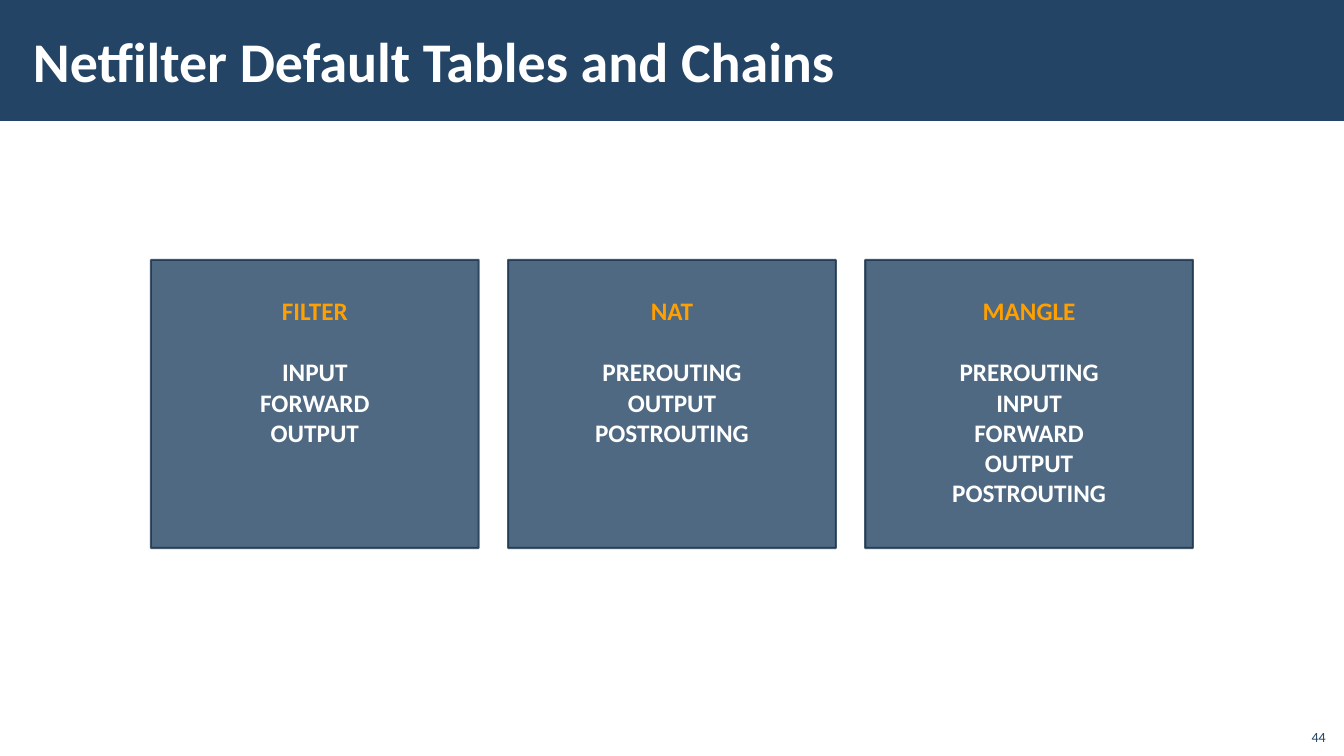
from pptx import Presentation
from pptx.dml.color import RGBColor
from pptx.enum.shapes import MSO_SHAPE
from pptx.enum.text import MSO_ANCHOR, PP_ALIGN
from pptx.oxml.ns import qn
from pptx.util import Cm, Pt
from lxml import etree

RECT = MSO_SHAPE.RECTANGLE
TOP, MIDDLE, BOTTOM = MSO_ANCHOR.TOP, MSO_ANCHOR.MIDDLE, MSO_ANCHOR.BOTTOM
LEFT, CENTER, RIGHT = PP_ALIGN.LEFT, PP_ALIGN.CENTER, PP_ALIGN.RIGHT

WIDTH, HEIGHT = 33.87, 19.05
FONT = "Calibri"
COLORS = {"navy": "234465", "edge": "1A334C", "amber": "FFA000", "white": "FFFFFF"}
TABLES = {
    "FILTER": ["INPUT", "FORWARD", "OUTPUT"],
    "NAT": ["PREROUTING", "OUTPUT", "POSTROUTING"],
    "MANGLE": ["PREROUTING", "INPUT", "FORWARD", "OUTPUT", "POSTROUTING"],
}


def color(name):
    return RGBColor.from_string(COLORS[name])


class Deck:
    """Holds the text style and the current slide."""

    def __init__(self):
        self.prs = Presentation()
        self.prs.slide_width, self.prs.slide_height = Cm(WIDTH), Cm(HEIGHT)
        self.slide = self.prs.slides.add_slide(self.prs.slide_layouts[5])

    def frame(self, shape, anchor, pad=(0.25, 0.13)):
        """Set anchor, wrap and (side, top) insets; return the text frame."""
        frame = shape.text_frame
        frame.word_wrap = True
        frame.vertical_anchor = anchor
        frame.margin_left = frame.margin_right = Cm(pad[0])
        frame.margin_top, frame.margin_bottom = Cm(pad[1]), Cm(0.1)
        return frame

    def add_text(self, para, text, size, tint, align, bold=False):
        para.alignment = align
        run = para.add_run()
        run.text = text
        font = run.font
        font.name, font.size, font.bold = FONT, Pt(size), bold
        font.color.rgb = color(tint)

    def rect(self, x, y, w, h):
        shape = self.slide.shapes.add_shape(RECT, Cm(x), Cm(y), Cm(w), Cm(h))
        shape.shadow.inherit = False
        shape.fill.solid()
        shape.fill.fore_color.rgb = color("navy")
        shape.line.fill.background()
        return shape

    def title(self, text):
        bar = self.rect(0, 0, WIDTH, 3.05)
        title = self.slide.shapes.title
        title.left, title.top = Cm(0.53), Cm(0.28)
        title.width, title.height = Cm(27), Cm(2.46)
        frame = self.frame(title, MIDDLE, (0.3, 0.1))
        self.add_text(frame.paragraphs[0], text, 40, "white", LEFT, True)
        title.element.addprevious(bar.element)

    def card(self, x, y, w, h, name, chains):
        """Draw a see-through box with a table name and its chains."""
        box = self.rect(x, y, w, h)
        box.line.color.rgb = color("edge")
        box.line.width = Pt(1.5)
        for tint in box.element.spPr.iter(qn("a:srgbClr")):
            etree.SubElement(tint, qn("a:alpha"), val="80000")
        frame = self.frame(box, TOP, (0.25, 0.9))
        self.add_text(frame.paragraphs[0], name, 18, "amber", CENTER, True)
        for i, chain in enumerate(chains):
            para = frame.add_paragraph()
            para.space_before = Pt(0 if i else 22)
            self.add_text(para, chain, 18, "white", CENTER, True)

    def number(self, text):
        box = self.slide.shapes.add_textbox(Cm(32.64), Cm(18.08), Cm(1.02), Cm(0.81))
        frame = self.frame(box, BOTTOM)
        self.add_text(frame.paragraphs[0], text, 10, "navy", RIGHT)


def main():
    deck = Deck()
    deck.title("Netfilter Default Tables and Chains")
    wide, gap = 8.26, 0.74
    start = (WIDTH - 3 * wide - 2 * gap) / 2
    for i, (name, chains) in enumerate(TABLES.items()):
        deck.card(start + i * (wide + gap), 6.55, wide, 7.26, name, chains)
    deck.number("44")
    deck.prs.save("out.pptx")


if __name__ == "__main__":
    main()
